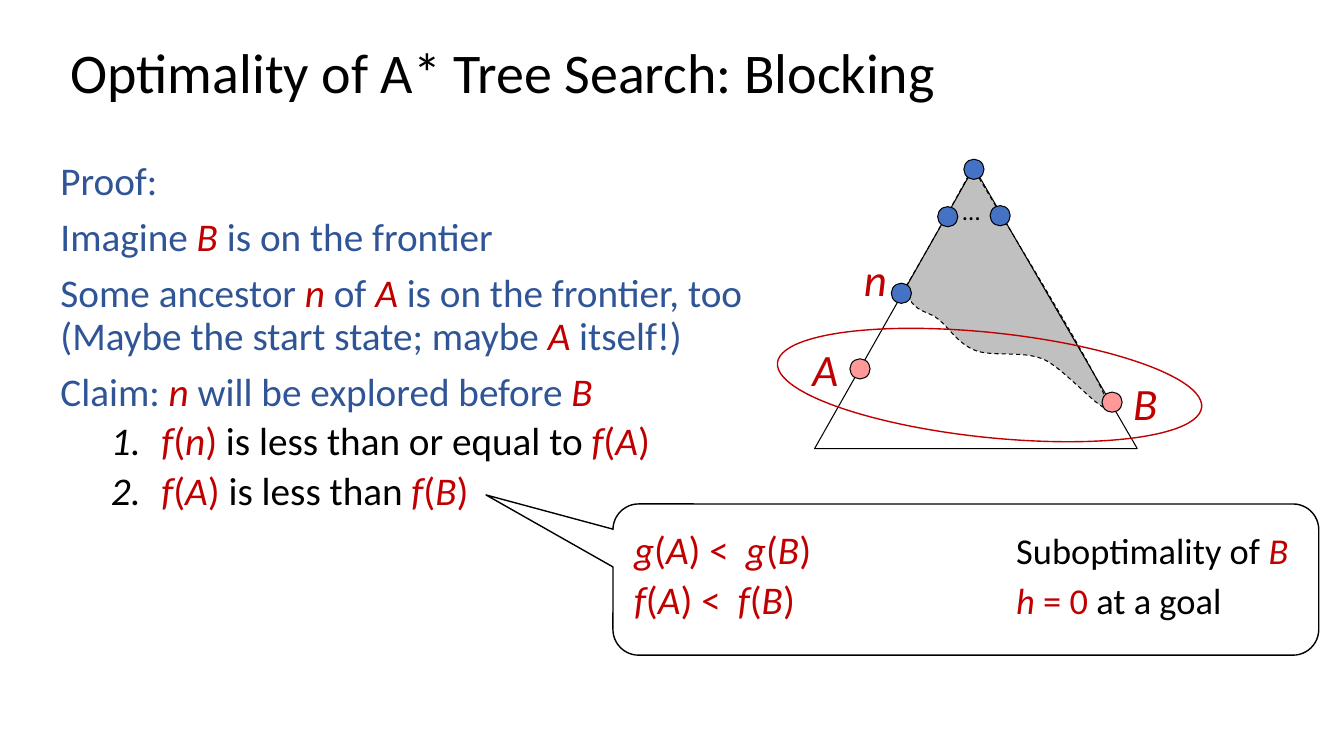
from itertools import groupby
from lxml import etree
from pptx import Presentation
from pptx import util as u
from pptx.dml.color import RGBColor
from pptx.enum import dml, shapes, text
from pptx.oxml.ns import qn

SCALE = 9144
FONT = "Calibri"
COLORS = {"black": "000000", "white": "FFFFFF", "blue": "2F5597", "red": "C00000",
          "node": "4472C4", "goal": "FF9999", "explored": "C0C0C0"}

# Formulas stand between bars: red, with italic letters
TITLE = "Optimality of A* Tree Search: Blocking"
PROOF = [
    "Proof:",
    "Imagine |B| is on the frontier",
    "Some ancestor |n| of |A| is on the frontier, too (Maybe the start state; maybe |A| itself!)",
    "Claim: |n| will be explored before |B",
]
STEPS = ["|f(n) |is less than or equal to |f(A)", "|f(A) |is less than |f(B)"]
REASONS = [
    (516, 111, "|g(A) <\tg(B)\t", "Suboptimality of |B"),
    (566, 103, "|f(A) <\tf(B)\t", "|h = 0 |at a goal"),
]
REASON_TAB = 379

EXPLORED_START = (964, 168)
EXPLORED_CURVES = [
    [(953, 188), (931, 229), (897, 287)],
    [(907, 312), (919, 307), (931, 317)],
    [(943, 327), (950, 341), (968, 348)],
    [(985, 354), (1013, 348), (1034, 356)],
    [(1056, 364), (1108, 428), (1097, 396)],
    [(1086, 365), (994, 216), (966, 168)],
]
TREE = [(808, 445), (1128, 445), (966, 166)]
NODE_SIZE = 20
NODES = [(930, 205, "node"), (982, 204, "node"), (1093, 389, "goal"),
         (843, 356, "goal"), (956, 158, "node"), (884, 281, "node")]
LABELS = [("|A", 796, 334, 46), ("|B", 1114, 368, 45), ("|n", 847, 245, 43)]


def px(*lengths):
    return [round(length * SCALE) for length in lengths]


def color(name):
    return RGBColor.from_string(COLORS[name])


def apply(target, **values):
    for name, value in values.items():
        setattr(target, name, value)


def write(paragraph, content, size, base="black"):
    for index, piece in enumerate(content.split("|")):
        formula = index % 2 == 1
        parts = groupby(piece, str.isalpha) if formula else [(False, piece)]
        for italic, characters in parts:
            run = paragraph.add_run()
            run.text = "".join(characters)
            apply(run.font, name=FONT, size=u.Pt(size), italic=italic)
            run.font.color.rgb = color("red" if formula else base)


def add_property(parent, tag, **attributes):
    return etree.SubElement(parent, qn(tag), attributes)


def style(shape, fill=None, line="black", width=0.75):
    shape.shadow.inherit = False
    if fill:
        shape.fill.solid()
        shape.fill.fore_color.rgb = color(fill)
    else:
        shape.fill.background()
    shape.line.color.rgb = color(line)
    shape.line.width = u.Pt(width)
    return shape


def add_outline(start, points, close, fill=None):
    builder = slide.shapes.build_freeform(*px(*start), scale=1.0)
    builder.add_line_segments([px(*point) for point in points], close=close)
    return style(builder.convert_to_shape(), fill)


def add_preset(kind, box, **look):
    return style(slide.shapes.add_shape(kind, *px(*box)), **look)


def add_text(box, wrap=True):
    frame = slide.shapes.add_textbox(*px(*box)).text_frame
    apply(frame, word_wrap=wrap, auto_size=text.MSO_AUTO_SIZE.SHAPE_TO_FIT_TEXT)
    return frame.paragraphs[0]


def curve_points(start, curves, steps=12):
    for first, second, end in curves:
        for step in range(1, steps + 1):
            t = step / steps
            weights = ((1 - t) ** 3, 3 * t * (1 - t) ** 2, 3 * t * t * (1 - t), t ** 3)
            corners = (start, first, second, end)
            yield tuple(sum(w * corner[axis] for w, corner in zip(weights, corners))
                        for axis in (0, 1))
        start = end


def place(placeholder, box, anchor):
    apply(placeholder, **dict(zip(("left", "top", "width", "height"), px(*box))))
    frame = placeholder.text_frame
    apply(frame, word_wrap=True, auto_size=text.MSO_AUTO_SIZE.NONE, vertical_anchor=anchor)
    return frame


presentation = Presentation()
presentation.slide_width, presentation.slide_height = px(1333, 750)
slide = presentation.slides.add_slide(presentation.slide_layouts[1])

title = place(slide.shapes.title, (60, 40, 1150, 69), text.MSO_ANCHOR.MIDDLE).paragraphs[0]
apply(title, alignment=text.PP_ALIGN.LEFT, line_spacing=0.9)
write(title, TITLE, 40)

body = place(slide.placeholders[1], (50, 155, 709, 495), text.MSO_ANCHOR.TOP)
for index, content in enumerate(PROOF + STEPS):
    numbered = index >= len(PROOF)
    paragraph = body.add_paragraph() if index else body.paragraphs[0]
    space = 0 if index == 0 else 5 if numbered else 10
    apply(paragraph, level=int(numbered), line_spacing=0.9, space_before=u.Pt(space))
    margin, indent = px(100, -50) if numbered else (0, 0)
    properties = paragraph._p.get_or_add_pPr()
    properties.set("marL", str(margin))
    properties.set("indent", str(indent))
    if numbered:
        bullet_color = add_property(properties, "a:buClr")
        add_property(bullet_color, "a:srgbClr", val=COLORS["black"])
        add_property(properties, "a:buFont", typeface=FONT)
        add_property(properties, "a:buAutoNum", type="arabicPeriod")
    else:
        add_property(properties, "a:buNone")
    write(paragraph, content, 28, "black" if numbered else "blue")

explored = add_outline(EXPLORED_START, curve_points(EXPLORED_START, EXPLORED_CURVES),
                       False, "explored")
explored.line.dash_style = dml.MSO_LINE.DASH
add_outline(TREE[0], TREE[1:], True)

for left, top, fill in NODES:
    add_preset(shapes.MSO_SHAPE.OVAL, (left, top, NODE_SIZE, NODE_SIZE), fill=fill)
write(add_text((945, 189, 30, 40)), "…", 18)
for label, left, top, width in LABELS:
    write(add_text((left, top, width, 64), wrap=False), label, 32)

goal_ring = add_preset(shapes.MSO_SHAPE.OVAL, (770, 330, 423, 104), line="red", width=1)
goal_ring.rotation = 6

callout = add_preset(shapes.MSO_SHAPE.ROUNDED_RECTANGULAR_CALLOUT, (608, 500, 700, 150),
                     fill="white", width=1)
for index, value in enumerate((-0.68, -0.56, 0.17)):
    callout.adjustments[index] = value

for top, formula_tab, formula, reason in REASONS:
    paragraph = add_text((619, top, 715, 57))
    tabs = add_property(paragraph._p.get_or_add_pPr(), "a:tabLst")
    for position in px(formula_tab, REASON_TAB):
        add_property(tabs, "a:tab", pos=str(position), algn="l")
    write(paragraph, formula, 28)
    write(paragraph, reason, 26)

presentation.save("out.pptx")
